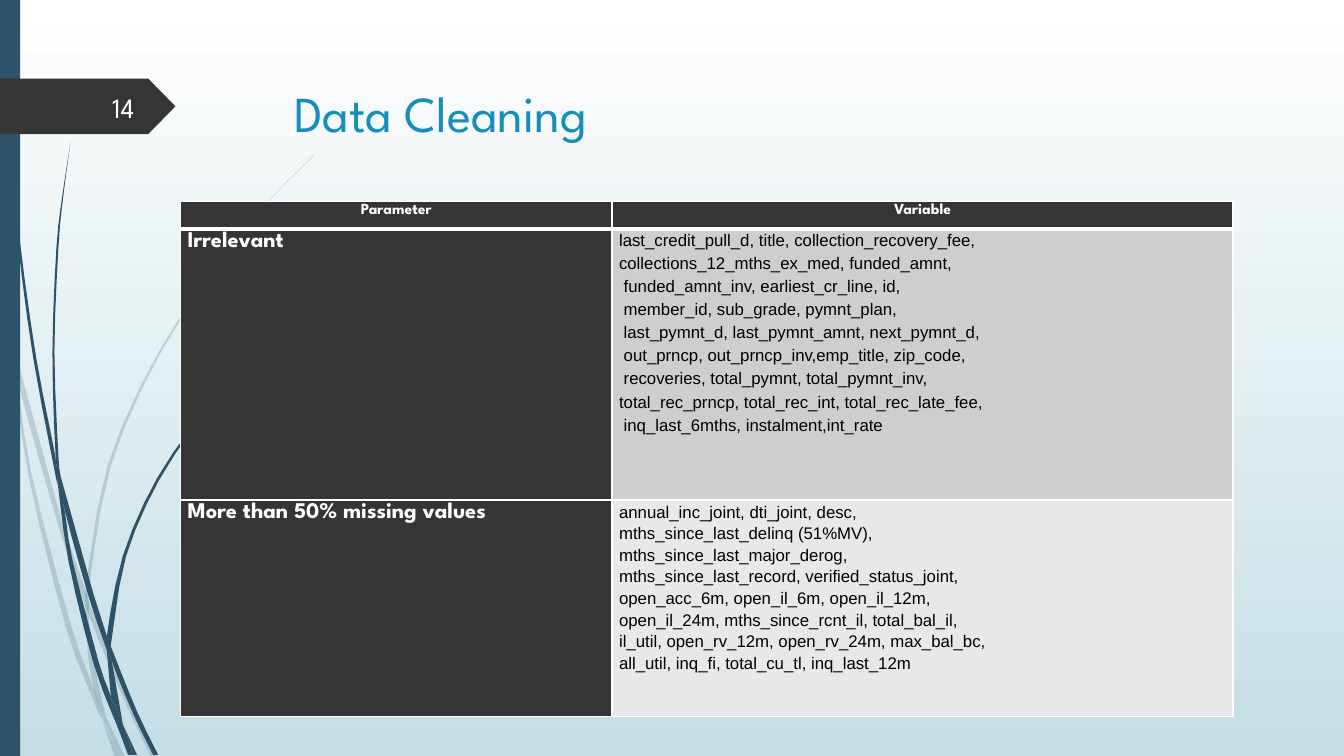
from lxml import etree
from pptx import Presentation, util as u
from pptx.dml import color
from pptx.enum import shapes, text
from pptx.oxml import ns

HEADING_FONT = "League Spartan"
TEAL, DARK, WHITE = "2E5369", "353535", "FFFFFF"

PALE_WISPS = [
    ([(0, 2.99), (0.1, 3.44), (0.11, 3.5)], [(0, 2.82), (0.09, 3.22), (0.11, 3.5)]),
    ([(0.14, 3.45), (0.17, 3.76), (0.58, 5.22), (0.84, 5.99)], [(0.14, 3.45), (0.62, 5.2), (0.85, 5.86)]),
    ([(0.88, 5.96), (0.88, 6.1), (1.23, 6.94), (1.5, 7.51)], [(0.88, 5.96), (0.92, 6.07), (1.27, 6.92), (1.55, 7.51)]),
    ([(1.05, 7.11), (1.19, 7.51)], [(1.05, 7.11), (1.24, 7.51)]),
    ([(0.11, 3.5), (0.28, 4.7), (0.65, 6.21), (0.92, 6.93), (1.01, 7.14)],
     [(0.11, 3.5), (0.17, 3.76), (0.31, 4.69), (0.7, 6.19), (0.93, 6.83), (0.99, 7.07), (1.01, 7.14)]),
    ([(0.84, 5.99), (0.87, 6.46), (0.93, 6.83), (1.05, 7.11)], [(0.84, 5.99), (0.88, 6.1), (0.91, 6.46), (1.05, 7.11)]),
    ([(3.12, 1.53), (2.68, 1.97), (2.28, 2.44), (1.58, 3.48), (1.07, 4.61), (0.85, 5.84), (0.88, 5.96)],
     [(3.12, 1.54), (2.68, 1.98), (2.29, 2.45), (1.6, 3.49), (1.1, 4.62), (0.88, 5.84), (0.88, 5.96)]),
    ([(1.01, 7.14), (1.14, 7.51)], [(1.01, 7.14), (1.19, 7.51)]),
    ([(0.85, 5.86), (0.84, 5.99), (0.88, 6.1)], [(0.85, 5.86), (0.88, 5.96), (0.88, 6.1)]),
    ([(0.93, 6.83), (0.99, 7.07), (1.19, 7.51)], [(0.93, 6.83), (1.05, 7.11), (1.19, 7.51)]),
]
DARK_WISPS = [
    ([(0.03, 0), (0.04, 0.48), (0.07, 1.1), (0.17, 2.33), (0.33, 3.55), (0.57, 4.81)],
     [(0.04, 0), (0.05, 0.48), (0.08, 1.09), (0.19, 2.32), (0.36, 3.55), (0.55, 4.53), (0.57, 4.81)]),
    ([(0.6, 4.72), (0.64, 5.05), (0.88, 5.92), (1.06, 6.45)], [(0.6, 4.72), (0.93, 5.9), (1.06, 6.31)]),
    ([(1.1, 6.41), (1.11, 6.56), (1.32, 7.08), (1.52, 7.49)], [(1.1, 6.41), (1.13, 6.49), (1.36, 7.06), (1.57, 7.49)]),
    ([(0.57, 4.77), (0.68, 5.57), (0.93, 6.59), (1.17, 7.22)],
     [(0.57, 4.77), (0.64, 5.05), (0.72, 5.56), (0.98, 6.57), (1.1, 6.91), (1.17, 7.22)]),
    ([(0.7, 1.41), (0.62, 1.93), (0.56, 2.45), (0.52, 3.49), (0.55, 4.49), (0.6, 4.72)],
     [(0.7, 1.41), (0.63, 1.93), (0.58, 2.45), (0.54, 3.49), (0.58, 4.53), (0.6, 4.72)]),
    ([(1.22, 7.19), (1.33, 7.49)], [(1.22, 7.19), (1.36, 7.49)]),
    ([(0.55, 4.49), (0.57, 4.77), (0.64, 5.05)], [(0.55, 4.49), (0.6, 4.72), (0.64, 5.05)]),
    ([(2.6, 3.44), (2.31, 3.73), (2.04, 4.05), (1.56, 4.74), (1.22, 5.51), (1.06, 6.31), (1.1, 6.41)],
     [(2.61, 3.44), (2.31, 3.74), (2.05, 4.06), (1.58, 4.76), (1.25, 5.52), (1.11, 6.33), (1.1, 6.41)]),
    ([(1.17, 7.22), (1.27, 7.49)], [(1.17, 7.22), (1.31, 7.49)]),
    ([(1.06, 6.45), (1.1, 6.91), (1.22, 7.19)], [(1.06, 6.45), (1.11, 6.56), (1.22, 7.19)]),
    ([(1.06, 6.31), (1.06, 6.45), (1.11, 6.56)], [(1.06, 6.31), (1.1, 6.41), (1.11, 6.56)]),
    ([(1.1, 6.91), (1.17, 7.22), (1.3, 7.49)], [(1.1, 6.91), (1.22, 7.19), (1.33, 7.49)]),
]
IRRELEVANT = [
    "last_credit_pull_d, title, collection_recovery_fee,",
    "collections_12_mths_ex_med, funded_amnt,",
    " funded_amnt_inv, earliest_cr_line, id,",
    " member_id, sub_grade, pymnt_plan,",
    " last_pymnt_d, last_pymnt_amnt, next_pymnt_d,",
    " out_prncp, out_prncp_inv,emp_title, zip_code,",
    " recoveries, total_pymnt, total_pymnt_inv,",
    "total_rec_prncp, total_rec_int, total_rec_late_fee,",
    " inq_last_6mths, instalment,int_rate",
]
MISSING = [
    "annual_inc_joint, dti_joint, desc,",
    "mths_since_last_delinq (51%MV),",
    "mths_since_last_major_derog,",
    "mths_since_last_record, verified_status_joint,",
    "open_acc_6m, open_il_6m, open_il_12m,",
    "open_il_24m, mths_since_rcnt_il, total_bal_il,",
    "il_util, open_rv_12m, open_rv_24m, max_bal_bc,",
    "all_util, inq_fi, total_cu_tl, inq_last_12m",
]

def inches(value):
    return u.Cm(value * 2.54)

def rgb(value):
    return color.RGBColor.from_string(value)

def apply_format(target, values):
    for name, value in values.items():
        setattr(target, name, value)

def write_lines(frame, lines, font, font_color, paragraph_format):
    for index, line in enumerate(lines):
        paragraph = frame.add_paragraph() if index else frame.paragraphs[0]
        apply_format(paragraph, paragraph_format)
        run = paragraph.add_run()
        run.text = line
        apply_format(run.font, font)
        run.font.color.rgb = rgb(font_color)

def paint(shape, fill, opacity=100):
    shape.shadow.inherit = False
    shape.fill.solid()
    shape.fill.fore_color.rgb = rgb(fill)
    shape.line.fill.background()
    if opacity < 100:
        solid = shape.fill._xPr.find(ns.qn("a:solidFill"))
        etree.SubElement(solid[0], ns.qn("a:alpha"), val=str(opacity * 1000))

def smooth(points):
    steps = 3 if len(points) > 3 else 1
    padded = [points[0], *points, points[-1]]
    curve = []
    for corners in zip(padded, padded[1:], padded[2:], padded[3:]):
        for t in (step / steps for step in range(steps)):
            curve.append([q + t * (r - p + t * (2 * p - 5 * q + 4 * r - s + t * (3 * q - p - 3 * r + s))) / 2
                          for p, q, r, s in zip(*corners)])
    return curve + [points[-1]]

def add_wisp(slide, left_edge, right_edge, opacity):
    outline = [(inches(x), inches(y)) for x, y in smooth(left_edge) + smooth(right_edge)[::-1]]
    builder = slide.shapes.build_freeform(*outline[0])
    builder.add_line_segments(outline[1:], close=True)
    paint(builder.convert_to_shape(), TEAL, opacity)

def add_block(slide, kind, box, fill):
    shape = slide.shapes.add_shape(kind, *map(inches, box))
    paint(shape, fill)
    return shape

def set_background(slide, top, bottom):
    fill = slide.background.fill
    fill.gradient()
    fill.gradient_angle = 270
    for stop, value in zip(fill.gradient_stops, (top, bottom)):
        stop.color.rgb = rgb(value)

def add_title(slide, title):
    shape = slide.shapes.title
    box = map(inches, (2.82, 0.76, 9.75, 1.4))
    apply_format(shape, dict(zip(("left", "top", "width", "height"), box)))
    apply_format(shape.text_frame, {"vertical_anchor": text.MSO_ANCHOR.TOP, "auto_size": text.MSO_AUTO_SIZE.NONE})
    write_lines(shape.text_frame, [title], {"size": u.Pt(36), "name": HEADING_FONT},
                "178DBB", {"alignment": text.PP_ALIGN.LEFT})

def add_page_number(slide, number):
    frame = slide.shapes.add_textbox(*map(inches, (0.58, 0.86, 0.85, 0.4))).text_frame
    apply_format(frame, {"word_wrap": True, "vertical_anchor": text.MSO_ANCHOR.MIDDLE})
    write_lines(frame, [number], {"size": u.Pt(20), "name": HEADING_FONT},
                "FEFFFF", {"alignment": text.PP_ALIGN.RIGHT})

def set_borders(cell, widths):
    properties = cell._tc.get_or_add_tcPr()
    for index, (side, width) in enumerate(widths.items()):
        line = etree.Element(ns.qn(f"a:ln{side}"), w=str(u.Pt(width)))
        solid = etree.SubElement(line, ns.qn("a:solidFill"))
        etree.SubElement(solid, ns.qn("a:srgbClr"), val=WHITE)
        properties.insert(index, line)

def fill_cell(cell, lines, fill, font, font_color, paragraph_format, widths):
    side = inches(0.07)
    apply_format(cell, {"margin_left": side, "margin_right": side, "margin_top": 0, "margin_bottom": 0})
    cell.fill.solid()
    cell.fill.fore_color.rgb = rgb(fill)
    set_borders(cell, widths)
    write_lines(cell.text_frame, lines, font, font_color, {"line_spacing": 1.15, **paragraph_format})

def add_variable_table(slide):
    table = slide.shapes.add_table(3, 2, *map(inches, (1.79, 2, 10.44, 5.11))).table
    for column, width in zip(table.columns, (4.28, 6.16)):
        column.width = inches(width)
    for row, height in zip(table.rows, (0.27, 2.69, 2.15)):
        row.height = inches(height)
    thin = dict.fromkeys("LRTB", 1)
    heading = {"size": u.Pt(11), "name": HEADING_FONT, "bold": True}
    label_font = {**heading, "size": u.Pt(16)}
    body = {"size": u.Pt(12), "name": "Arial", "bold": False}
    spaced = {"space_after": u.Pt(1)}
    for column, name in enumerate(("Parameter", "Variable")):
        fill_cell(table.cell(0, column), [name], DARK, heading, WHITE,
                  {**spaced, "alignment": text.PP_ALIGN.CENTER}, {**thin, "B": 3})
    rows = (("Irrelevant", IRRELEVANT, "CECECE", spaced, {**thin, "T": 3}),
            ("More than 50% missing values", MISSING, "E8E8E8", {}, thin))
    for row, (label, variables, fill, spacing, widths) in enumerate(rows, 1):
        fill_cell(table.cell(row, 0), [label], DARK, label_font, WHITE, spaced, widths)
        fill_cell(table.cell(row, 1), variables, fill, body, "000000", spacing, widths)

def main():
    presentation = Presentation()
    apply_format(presentation, {"slide_width": inches(13.33), "slide_height": inches(7.5)})
    slide = presentation.slides.add_slide(presentation.slide_layouts[5])
    set_background(slide, WHITE, "C5DEE5")
    for wisps, opacity in ((PALE_WISPS, 20), (DARK_WISPS, 100)):
        for left_edge, right_edge in wisps:
            add_wisp(slide, left_edge, right_edge, opacity)
    add_block(slide, shapes.MSO_SHAPE.RECTANGLE, (0, 0, 0.2, 7.5), TEAL)
    badge = add_block(slide, shapes.MSO_SHAPE.PENTAGON, (0, 0.78, 1.74, 0.55), DARK)
    badge.adjustments[0] = 0.49
    add_title(slide, "Data Cleaning")
    add_variable_table(slide)
    add_page_number(slide, "14")
    presentation.save("out.pptx")

if __name__ == "__main__":
    main()
